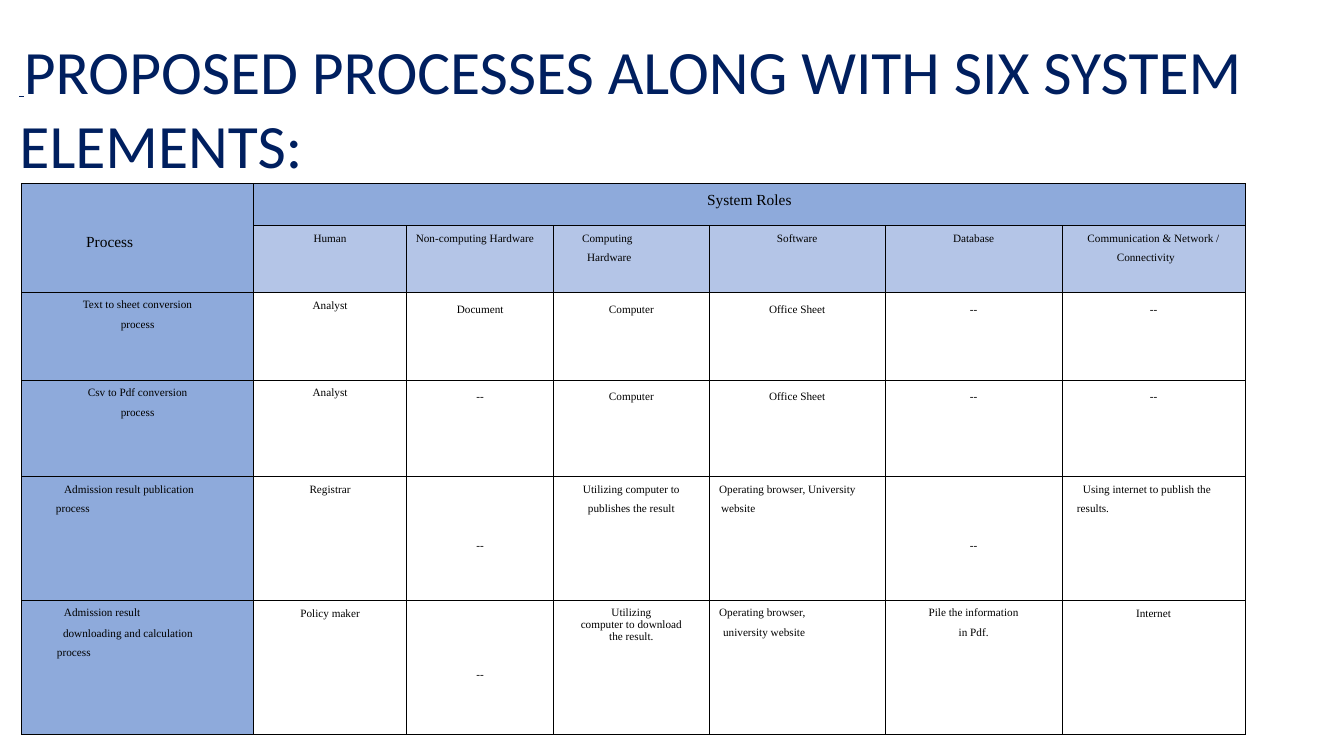
from lxml import etree
from pptx import Presentation
from pptx.dml.color import RGBColor
from pptx.enum.text import MSO_ANCHOR, MSO_AUTO_SIZE, PP_ALIGN
from pptx.oxml.ns import qn
from pptx.util import Pt

LEFT, CENTER = PP_ALIGN.LEFT, PP_ALIGN.CENTER
TOP = MSO_ANCHOR.TOP
NO_AUTOFIT = MSO_AUTO_SIZE.NONE
COLORS = {"navy": "001F5F", "black": "000000", "blue": "8EAADB", "pale": "B4C5E7"}
SERIF, SANS = "Times New Roman", "Calibri"
MARGINS = dict.fromkeys(
    ("margin_left", "margin_right", "margin_top", "margin_bottom"), 0)


def apply(obj, values):
    for name, value in values.items():
        setattr(obj, name, value)


class Deck:
    def __init__(self, width, height):
        self.prs = Presentation()
        apply(self.prs, {"slide_width": Pt(width), "slide_height": Pt(height)})
        self.s = self.prs.slides.add_slide(self.prs.slide_layouts[5])

    def add_text(self, p, text, font, size, color, **fmt):
        r = p.add_run()
        r.text = text
        apply(r.font, {"name": font, "size": Pt(size), **fmt})
        r.font.color.rgb = RGBColor.from_string(COLORS[color])

    def title(self, left, top, width, height, runs):
        sp = self.s.shapes.title
        apply(sp, {"left": Pt(left), "top": Pt(top),
                   "width": Pt(width), "height": Pt(height)})
        tf = sp.text_frame
        apply(tf, {**MARGINS, "word_wrap": True, "auto_size": NO_AUTOFIT,
                   "vertical_anchor": TOP})
        p = tf.paragraphs[0]
        apply(p, {"alignment": LEFT, "space_before": Pt(0.7)})
        p._p.get_or_add_pPr().set("marL", str(Pt(0.9)))
        for text, font, size, fmt in runs:
            self.add_text(p, text, font, size, "navy", **fmt)

    def table(self, left, top, cols, rows):
        sp = self.s.shapes.add_table(len(rows), len(cols), Pt(left), Pt(top),
                                     Pt(sum(cols)), Pt(sum(rows)))
        table = sp.table
        apply(table, {"first_row": False, "horz_banding": False})
        for col, width in zip(table.columns, cols):
            col.width = Pt(width)
        for row, height in zip(table.rows, rows):
            row.height = Pt(height)
        return table

    def border(self, cell, width=0.5):
        tcPr = cell._tc.get_or_add_tcPr()
        for side in ("a:lnL", "a:lnR", "a:lnT", "a:lnB"):
            ln = etree.SubElement(tcPr, qn(side), w=str(Pt(width)))
            fill = etree.SubElement(ln, qn("a:solidFill"))
            etree.SubElement(fill, qn("a:srgbClr"), val=COLORS["black"])

    def cell(self, cell, fill):
        apply(cell, {**MARGINS, "vertical_anchor": TOP})
        self.border(cell)
        if fill:
            cell.fill.solid()
            cell.fill.fore_color.rgb = RGBColor.from_string(COLORS[fill])
        else:
            cell.fill.background()

    def cell_text(self, cell, paragraphs, size=8, top=0):
        cell.margin_top = Pt(top)
        tf = cell.text_frame
        for i, (text, fmt) in enumerate(paragraphs):
            p = tf.add_paragraph() if i else tf.paragraphs[0]
            line = fmt.get("line", 13.7)
            apply(p, {"alignment": fmt.get("align", CENTER),
                      "line_spacing": Pt(line) if line > 2 else line,
                      "space_before": Pt(fmt.get("before", 0))})
            pPr = p._p.get_or_add_pPr()
            for name in ("marL", "marR", "indent"):
                pPr.set(name, str(Pt(fmt.get(name, 0))))
            self.add_text(p, text, SERIF, size, "black")


def left(marL, indent=0, marR=0, **fmt):
    return {"align": LEFT, "marL": marL, "indent": indent, "marR": marR, **fmt}


def inset(margin, **fmt):
    return {"marL": margin, "marR": margin, **fmt}


PLAIN, TALL, SINGLE = {}, {"line": 14.2}, {"line": 1.0}
DROP, DASH = 7.6, [("--", SINGLE)]

COLS = (165.6, 109.4, 105.1, 110.9, 126, 126, 131)
ROWS = (30, 46, 62.5, 69.1, 88.5, 95.3)

HEADERS = [
    [("Human", PLAIN)],
    [("Non-computing Hardware", left(6.5))],
    [("Computing Hardware", left(23.8, -3.6, 36))],
    [("Software", PLAIN)],
    [("Database", PLAIN)],
    [("Communication & Network /", inset(11)), ("Connectivity", {"marR": 11})],
]


def conversion(name, source):
    return [
        ([(name, {"line": 13.2}), ("process", TALL)], 0),
        ([("Analyst", PLAIN)], 0),
        ([(source, SINGLE)], DROP),
        ([("Computer", SINGLE)], DROP),
        ([("Office Sheet", SINGLE)], DROP),
        (DASH, DROP),
        (DASH, DROP),
    ]


PROCESSES = [
    conversion("Text to sheet conversion", "Document"),
    conversion("Csv to Pdf conversion", "--"),
    [
        ([("Admission result publication process", left(24.5, 5.8, 29))], 0),
        ([("Registrar", PLAIN)], 0),
        ([("--", PLAIN)], 40),
        ([("Utilizing computer to", inset(18)),
          ("publishes the result", inset(15.8))], 0),
        ([("Operating browser, University website", left(8.6, -1.4, 8))], 0),
        ([("--", PLAIN)], 40),
        ([("Using internet to publish the results.", left(10.8, 4.3, 11))], 0),
    ],
    [
        ([("Admission result", left(30.2, line=13.2)),
          ("downloading and calculation process",
           left(25.2, 4.3, 29, before=0.8))], 0),
        ([("Policy maker", PLAIN)], 0),
        (DASH, 48.4),
        ([("Utilizing", {"line": 13.2}),
          ("computer to download the result.", inset(16, line=0.96))], 0),
        ([("Operating browser,", left(7.2, line=13.2)),
          ("university website", left(10, line=14.2))], 0),
        ([("Pile the information", {"line": 13.2}), ("in Pdf.", TALL)], 0),
        ([("Internet", PLAIN)], 0),
    ],
]


def main():
    deck = Deck(960, 540)
    deck.title(13, 23.8, 946.8, 107.3, [
        (" ", SERIF, 12.3, {"bold": True, "underline": True}),
        ("PROPOSED PROCESSES ALONG WITH SIX SYSTEM ELEMENTS:", SANS, 44,
         {"bold": False, "underline": False}),
    ])
    table = deck.table(15.5, 131, COLS, ROWS)
    for i in range(len(ROWS)):
        for j in range(len(COLS)):
            fill = "blue" if i == 0 or j == 0 else "pale" if i == 1 else None
            deck.cell(table.cell(i, j), fill)
    table.cell(0, 0).merge(table.cell(1, 0))
    table.cell(0, 1).merge(table.cell(0, len(COLS) - 1))
    deck.cell_text(table.cell(0, 0), [("Process", left(46, line=18))], 11, 30)
    deck.cell_text(table.cell(0, 1), [("System Roles", {"line": 18})], 11)
    for j, header in enumerate(HEADERS, 1):
        deck.cell_text(table.cell(1, j), header)
    for i, process in enumerate(PROCESSES, 2):
        for j, (paragraphs, top) in enumerate(process):
            deck.cell_text(table.cell(i, j), paragraphs, top=top)
    deck.prs.save("out.pptx")


if __name__ == "__main__":
    main()
